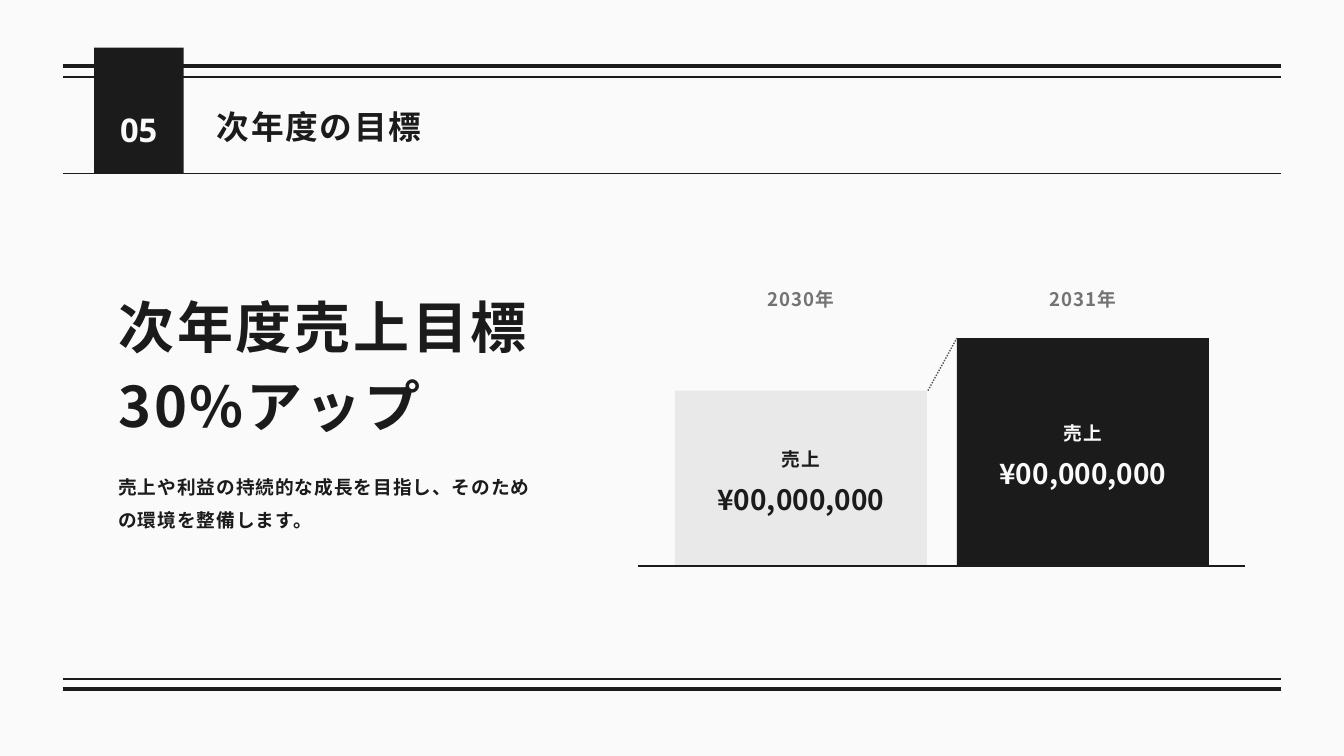
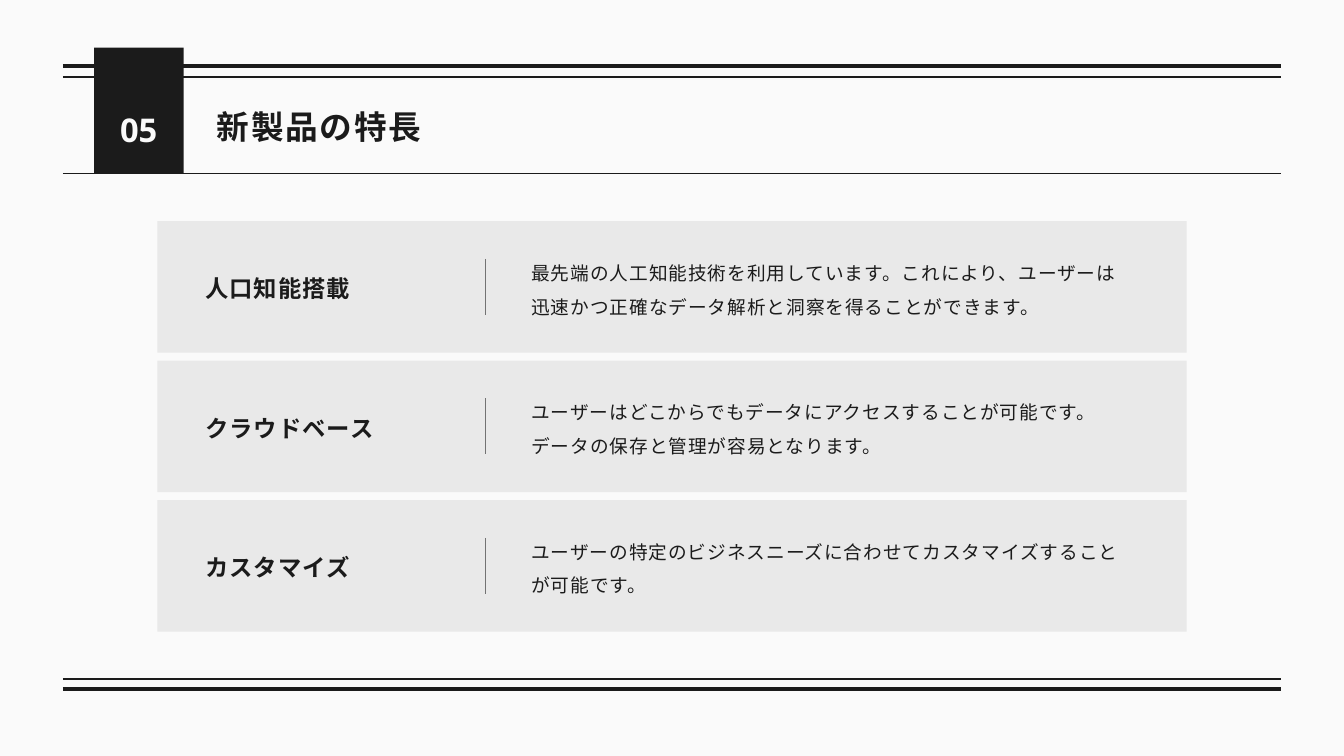
from pptx import Presentation
from pptx.dml.color import RGBColor
from pptx.enum.dml import MSO_LINE
from pptx.enum.shapes import MSO_CONNECTOR, MSO_SHAPE
from pptx.enum.text import MSO_AUTO_SIZE, PP_ALIGN
from pptx.oxml.ns import qn
from pptx.util import Pt
from lxml.etree import SubElement

COLORS = {
    "paper": "FAFAFA",
    "ink": "1B1B1B",
    "panel": "E9E9E9",
    "muted": "737373",
    "dots": "555555",
}
RGB = {name: RGBColor.from_string(value) for name, value in COLORS.items()}
JP_FONT, NUMBER_FONT = "Noto Sans CJK JP", "Open Sans"


def add_line(slide, x1, y1, x2, y2, width, color="ink"):
    line = slide.shapes.add_connector(MSO_CONNECTOR.STRAIGHT, Pt(x1), Pt(y1), Pt(x2), Pt(y2))
    line.line.color.rgb = RGB[color]
    line.line.width = Pt(width)
    SubElement(line._element.spPr, qn("a:effectLst"))
    return line


def add_text(slide, text, x, y, w, h, size, leading, color="ink", spacing=0,
             bold=True, align=PP_ALIGN.LEFT, face=JP_FONT):
    frame = slide.shapes.add_textbox(Pt(x), Pt(y), Pt(w), Pt(h)).text_frame
    frame.margin_left = frame.margin_right = frame.margin_top = frame.margin_bottom = 0
    frame.word_wrap = True
    frame.auto_size = MSO_AUTO_SIZE.SHAPE_TO_FIT_TEXT
    frame.text = text
    for paragraph in frame.paragraphs:
        paragraph.alignment = align
        paragraph.line_spacing = Pt(leading)
        font = paragraph.font
        font.size, font.bold, font.name = Pt(size), bold, face
        font.color.rgb = RGB[color]
        # Letter spacing and the East Asian typeface
        props = paragraph._p.pPr.find(qn("a:defRPr"))
        props.set("spc", str(round(spacing * 100)))
        SubElement(props, qn("a:ea"), typeface=face)


prs = Presentation()
prs.slide_width, prs.slide_height = Pt(1440), Pt(810)

# Sales bars: year, left, top, fill, text colour
BAR_WIDTH, BASELINE = 270, 606.5
bars = [
    ("2030年", 723, 418.5, "panel", "ink"),
    ("2031年", 1025.25, 362.25, "ink", "paper"),
]

# Product features: name and description
FEATURE_TOP, FEATURE_PITCH, FEATURE_HEIGHT = 237, 149.4, 141
features = [
    ("人口知能搭載", "最先端の人工知能技術を利用しています。これにより、ユーザーは迅速かつ正確なデータ解析と洞察を得ることができます。"),
    ("クラウドベース", "ユーザーはどこからでもデータにアクセスすることが可能です。データの保存と管理が容易となります。"),
    ("カスタマイズ", "ユーザーの特定のビジネスニーズに合わせてカスタマイズすることが可能です。"),
]
feature_tops = [FEATURE_TOP + i * FEATURE_PITCH for i in range(len(features))]

# Shared frame: rules, number tab, title, and the filled blocks of each slide
bar_blocks = [(x, y, BAR_WIDTH, BASELINE - y, fill) for _, x, y, fill, _ in bars]
feature_blocks = [(168.5, y, 1103, FEATURE_HEIGHT, "panel") for y in feature_tops]
number_tab = (100.8, 51, 96, 135.25, "ink")
rules = [(185.8, 1.5), (82.5, 1.5), (71, 4.5), (738.5, 4.5), (727.5, 1.5)]
slides = []
for title, blocks in [("次年度の目標", bar_blocks), ("新製品の特長", feature_blocks)]:
    slide = prs.slides.add_slide(prs.slide_layouts[6])
    slide.background.fill.solid()
    slide.background.fill.fore_color.rgb = RGB["paper"]
    for y, width in rules:
        add_line(slide, 67.5, y, 1372.5, y, width)
    for x, y, w, h, fill in [number_tab] + blocks:
        block = slide.shapes.add_shape(MSO_SHAPE.RECTANGLE, Pt(x), Pt(y), Pt(w), Pt(h))
        block.shadow.inherit = False
        block.fill.solid()
        block.fill.fore_color.rgb = RGB[fill]
        block.line.fill.background()
    add_text(slide, title, 232.2, 108, 1127, 47, 35, 49, spacing=1.8)
    add_text(slide, "05", 115.2, 96.5, 67, 57.6, 35, 63, "paper",
             align=PP_ALIGN.CENTER, face=NUMBER_FONT)
    slides.append(slide)
goal, product = slides

# Goal: headline and explanation
add_text(goal, "次年度売上目標\n30%アップ", 126.75, 301.7, 459.5, 165, 60, 84, spacing=3)
add_text(goal, "売上や利益の持続的な成長を目指し、そのための環境を整備します。",
         126.75, 497.5, 459.5, 69, 20, 36, spacing=1)

# Goal: bar labels, baseline and growth line
for year, left, top, _, color in bars:
    label_left = left + 12.5
    middle = (top + BASELINE) / 2
    add_text(goal, year, left + 50.5, 296.6, 169, 33, 20, 36, "muted", 1, align=PP_ALIGN.CENTER)
    add_text(goal, "売上", label_left, middle - 44.5, 245, 33, 20, 36, color, 1,
             align=PP_ALIGN.CENTER)
    add_text(goal, "¥00,000,000", label_left, middle - 13.5, 245, 49, 30, 54, color,
             align=PP_ALIGN.CENTER)
add_line(goal, 684, BASELINE, 1334, BASELINE, 3)
growth = add_line(goal, 994.25, 418.5, 1025.25, 362.25, 1.5, "dots")
growth.line.dash_style = MSO_LINE.ROUND_DOT

# Product: one row per feature
for top, (name, description) in zip(feature_tops, features):
    add_line(product, 520, top + 40.5, 520, top + 100.25, 0.75, "muted")
    add_text(product, name, 219.75, top + 52, 270, 33, 25, 35, spacing=1.2)
    add_text(product, description, 569.25, top + 31.5, 645, 69, 20, 36, spacing=1, bold=False)

prs.save("out.pptx")
